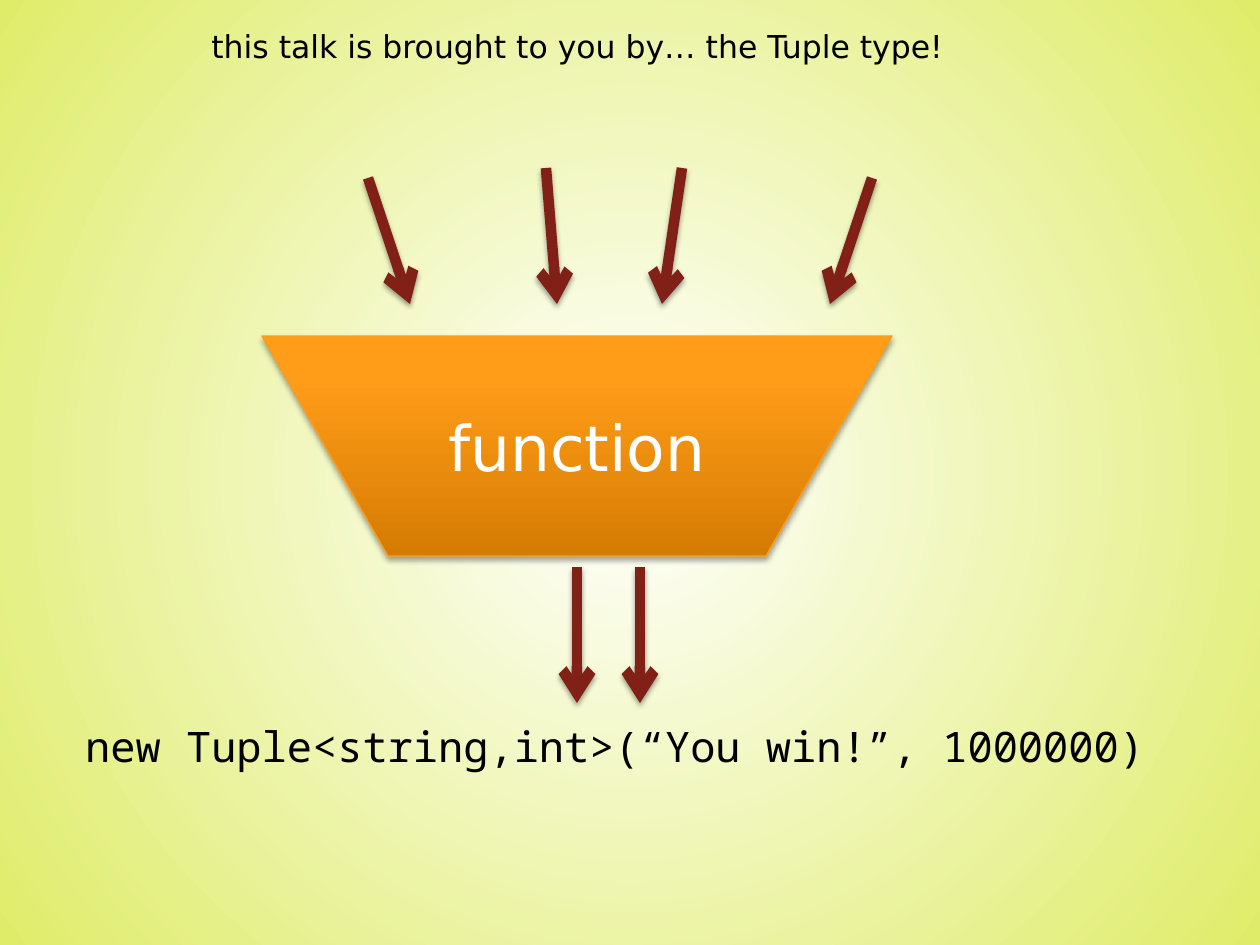
from lxml.etree import SubElement
from pptx import Presentation
from pptx.dml.color import RGBColor
from pptx.enum.shapes import MSO_CONNECTOR as Connector, MSO_SHAPE as Shape
from pptx.enum.text import MSO_ANCHOR as Anchor, MSO_AUTO_SIZE as AutoSize, PP_ALIGN as Align
from pptx.oxml.ns import qn
from pptx.util import Pt

PX = 914400 / 126

BLACK = RGBColor(0x00, 0x00, 0x00)
WHITE = RGBColor(0xFF, 0xFF, 0xFF)
LIME = RGBColor(0xDF, 0xEC, 0x69)
DARK_ORANGE = RGBColor(0xD5, 0x7B, 0x02)
ORANGE = RGBColor(0xFF, 0x9C, 0x18)
LIGHT_ORANGE = RGBColor(0xFF, 0x9D, 0x19)
EDGE_ORANGE = RGBColor(0xFD, 0x9D, 0x1D)
MAROON = RGBColor(0x80, 0x20, 0x17)

SANS = "DejaVu Sans"
MONO = "Noto Sans Mono"

INPUT_ARROWS = [
    ((368, 178), (410, 304)),
    ((546, 168), (557, 304)),
    ((682, 168), (662, 304)),
    ((872, 178), (830, 304)),
]
OUTPUT_XS = [577, 640]


def px(*lengths):
    return [round(length * PX) for length in lengths]


def add_xml(parent, tag, **attributes):
    return SubElement(parent, qn(tag), {name: str(value) for name, value in attributes.items()})


def set_gradient(fill, owner, stops, radial=False, angle=0):
    """Fill with (percent, colour) stops, from the centre outward if radial."""
    fill.gradient()
    gradient = owner.find(".//" + qn("a:gradFill"))
    for child in list(gradient):
        gradient.remove(child)
    stop_list = add_xml(gradient, "a:gsLst")
    for percent, color in stops:
        stop = add_xml(stop_list, "a:gs", pos=percent * 1000)
        add_xml(stop, "a:srgbClr", val=color)
    if radial:
        circle = add_xml(gradient, "a:path", path="circle")
        add_xml(circle, "a:fillToRect", l=50000, t=50000, r=50000, b=50000)
    else:
        add_xml(gradient, "a:lin", ang=angle * 60000, scaled=0)


def add_shadow(shape, opacity, distance):
    """Cast a soft black shadow downward; call after fill and line are set."""
    effects = add_xml(shape._element.spPr, "a:effectLst")
    shadow = add_xml(effects, "a:outerShdw", blurRad=Pt(3.1), dist=Pt(distance),
                     dir=90 * 60000, rotWithShape=0)
    color = add_xml(shadow, "a:srgbClr", val=BLACK)
    add_xml(color, "a:alpha", val=opacity * 1000)


def write_text(shape, text, *, size, font=SANS, color=BLACK, align=Align.LEFT, anchor=Anchor.TOP):
    frame = shape.text_frame
    frame.word_wrap = True
    frame.vertical_anchor = anchor
    paragraph = frame.paragraphs[0]
    paragraph.alignment = align
    run = paragraph.add_run()
    run.text = text
    run.font.size = Pt(size)
    run.font.name = font
    run.font.color.rgb = color


def add_text_box(slide, box, text, **text_format):
    shape = slide.shapes.add_textbox(*px(*box))
    write_text(shape, text, **text_format)
    shape.text_frame.auto_size = AutoSize.SHAPE_TO_FIT_TEXT


def add_funnel(slide, box, text):
    shape = slide.shapes.add_shape(Shape.FLOWCHART_MANUAL_OPERATION, *px(*box))
    set_gradient(shape.fill, shape._element.spPr,
                 [(0, DARK_ORANGE), (80, ORANGE), (100, LIGHT_ORANGE)], angle=270)
    shape.line.color.rgb = EDGE_ORANGE
    shape.line.width = Pt(0.75)
    add_shadow(shape, opacity=35, distance=1.8)
    write_text(shape, text, size=36, color=WHITE, align=Align.CENTER, anchor=Anchor.MIDDLE)


def add_arrow(shapes, start, end):
    arrow = shapes.add_connector(Connector.STRAIGHT, *px(*start, *end))
    arrow.line.color.rgb = MAROON
    arrow.line.width = Pt(6)
    add_xml(arrow.line._get_or_add_ln(), "a:tailEnd", type="arrow")
    add_shadow(arrow, opacity=38, distance=1.6)


def main():
    presentation = Presentation()
    presentation.slide_width, presentation.slide_height = px(1260, 945)
    slide = presentation.slides.add_slide(presentation.slide_layouts[6])
    set_gradient(slide.background.fill, slide.element, [(0, WHITE), (100, LIME)], radial=True)

    add_text_box(slide, (199, 21, 851, 50),
                 "this talk is brought to you by… the Tuple type!", size=18)
    add_funnel(slide, (262, 336, 630, 220), "function")

    inputs = slide.shapes.add_group_shape()
    for start, end in INPUT_ARROWS:
        add_arrow(inputs.shapes, start, end)
    for x in OUTPUT_XS:
        add_arrow(slide.shapes, (x, 567), (x, 703))

    add_text_box(slide, (21, 714, 1187, 63), "new Tuple<string,int>(“You win!”, 1000000)",
                 size=24, font=MONO, align=Align.CENTER)
    presentation.save("out.pptx")


if __name__ == "__main__":
    main()
